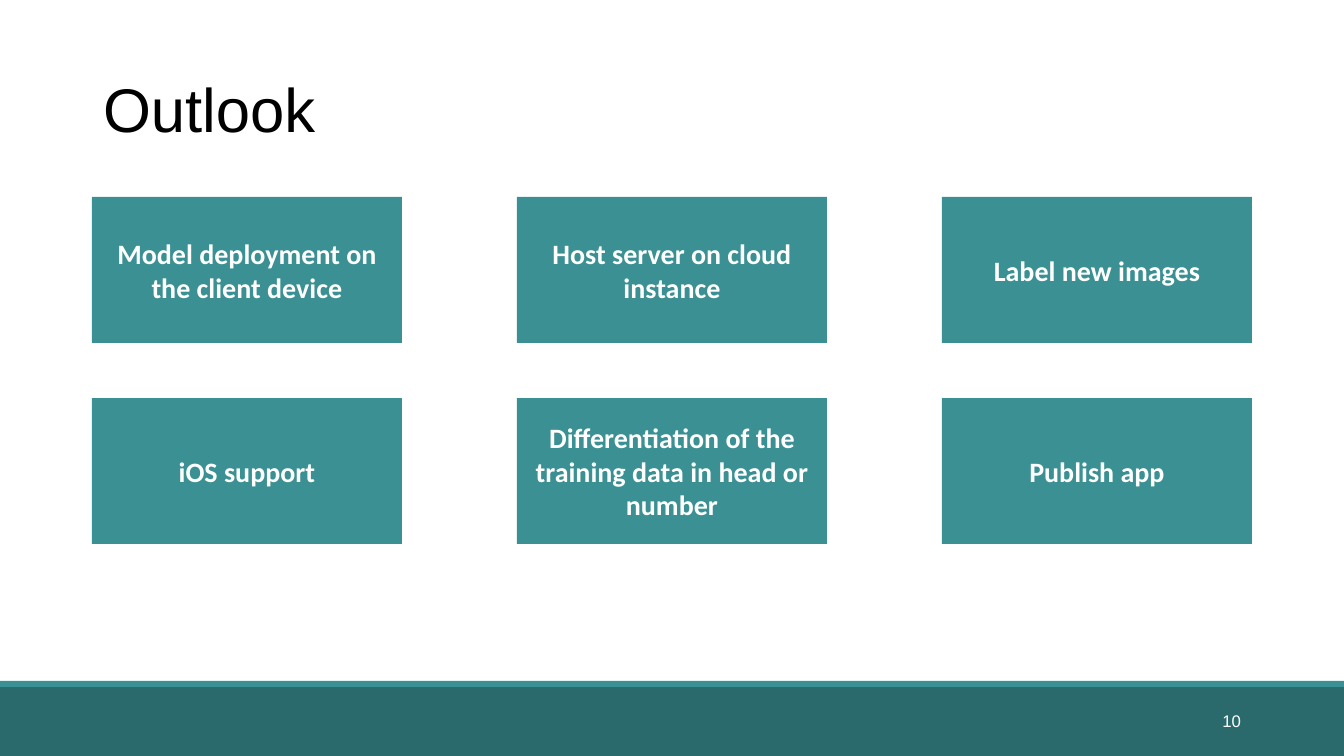
from pptx import Presentation
from pptx.dml.color import RGBColor
from pptx.enum.shapes import MSO_SHAPE as Shape
from pptx.enum.text import MSO_ANCHOR as Anchor, MSO_AUTO_SIZE as AutoSize, PP_ALIGN as Align
from pptx.util import Pt

EMU_PER_PX = 914400 / 100.8
TITLE_ONLY = 5


def px(length):
    return round(length * EMU_PER_PX)


def color(hex_code):
    return RGBColor.from_string(hex_code)


class SlideBuilder:
    TEAL = "3A9092"
    DARK_TEAL = "2B6A6C"
    WHITE = "FFFFFF"
    BLACK = "000000"
    HEADING_FONT = "Arial"
    BOX_FONT = "Calibri"

    def __init__(self, slide):
        self.slide = slide

    def set_text(self, shape, text, size, font, ink, align, bold=False):
        frame = shape.text_frame
        frame.text = text
        frame.word_wrap = True
        frame.auto_size = AutoSize.NONE
        frame.vertical_anchor = Anchor.MIDDLE
        paragraph = frame.paragraphs[0]
        paragraph.alignment = align
        run_font = paragraph.runs[0].font
        run_font.size = Pt(size)
        run_font.name = font
        run_font.bold = bold
        run_font.color.rgb = color(ink)
        return paragraph

    def title(self, text, left, top, width, height):
        shape = self.slide.shapes.title
        shape.left, shape.top = px(left), px(top)
        shape.width, shape.height = px(width), px(height)
        paragraph = self.set_text(shape, text, 44, self.HEADING_FONT, self.BLACK, Align.LEFT)
        paragraph.line_spacing = 0.9

    def rectangle(self, left, top, width, height, fill):
        shape = self.slide.shapes.add_shape(
            Shape.RECTANGLE, px(left), px(top), px(width), px(height))
        shape.shadow.inherit = False
        shape.fill.solid()
        shape.fill.fore_color.rgb = color(fill)
        shape.line.fill.background()
        return shape

    def box(self, text, left, top, width, height):
        shape = self.rectangle(left, top, width, height, self.TEAL)
        self.set_text(shape, text, 20, self.BOX_FONT, self.WHITE, Align.CENTER, bold=True)

    def page_number(self, text, left, top, width, height):
        shape = self.slide.shapes.add_textbox(px(left), px(top), px(width), px(height))
        self.set_text(shape, text, 12, self.HEADING_FONT, self.WHITE, Align.RIGHT)


def main():
    presentation = Presentation()
    presentation.slide_width, presentation.slide_height = px(1344), px(756)
    slide = presentation.slides.add_slide(presentation.slide_layouts[TITLE_ONLY])
    builder = SlideBuilder(slide)

    builder.rectangle(0, 687, 1344, 69, builder.DARK_TEAL)
    builder.rectangle(0, 681, 1344, 6, builder.TEAL)
    builder.title("Outlook", 93, 40, 1159, 146)
    builder.page_number("10", 949, 701, 302, 40)

    plans = [
        ["Model deployment on the client device", "Host server on cloud instance",
         "Label new images"],
        ["iOS support", "Differentiation of the training data in head or number",
         "Publish app"],
    ]
    for row, texts in enumerate(plans):
        for column, text in enumerate(texts):
            builder.box(text, 92 + 425 * column, 197 + 201 * row, 310, 146)

    presentation.save("out.pptx")


if __name__ == "__main__":
    main()
